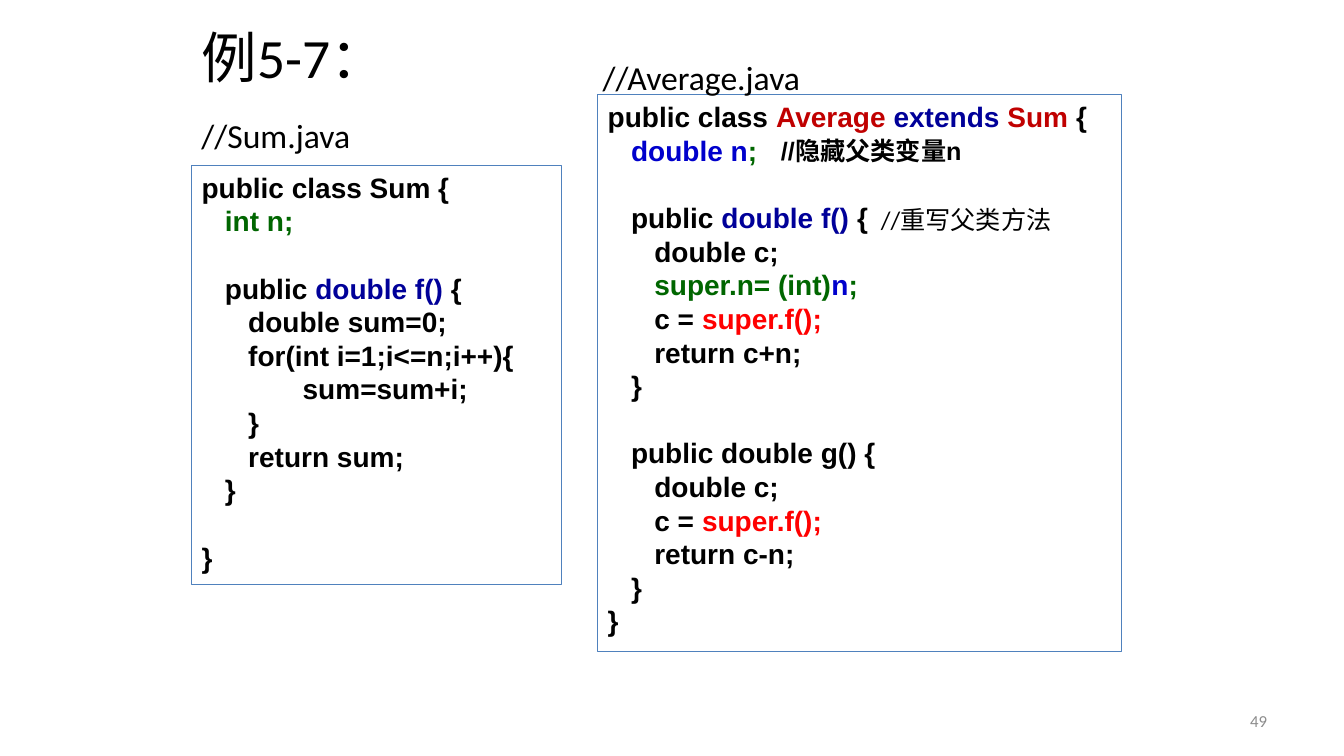
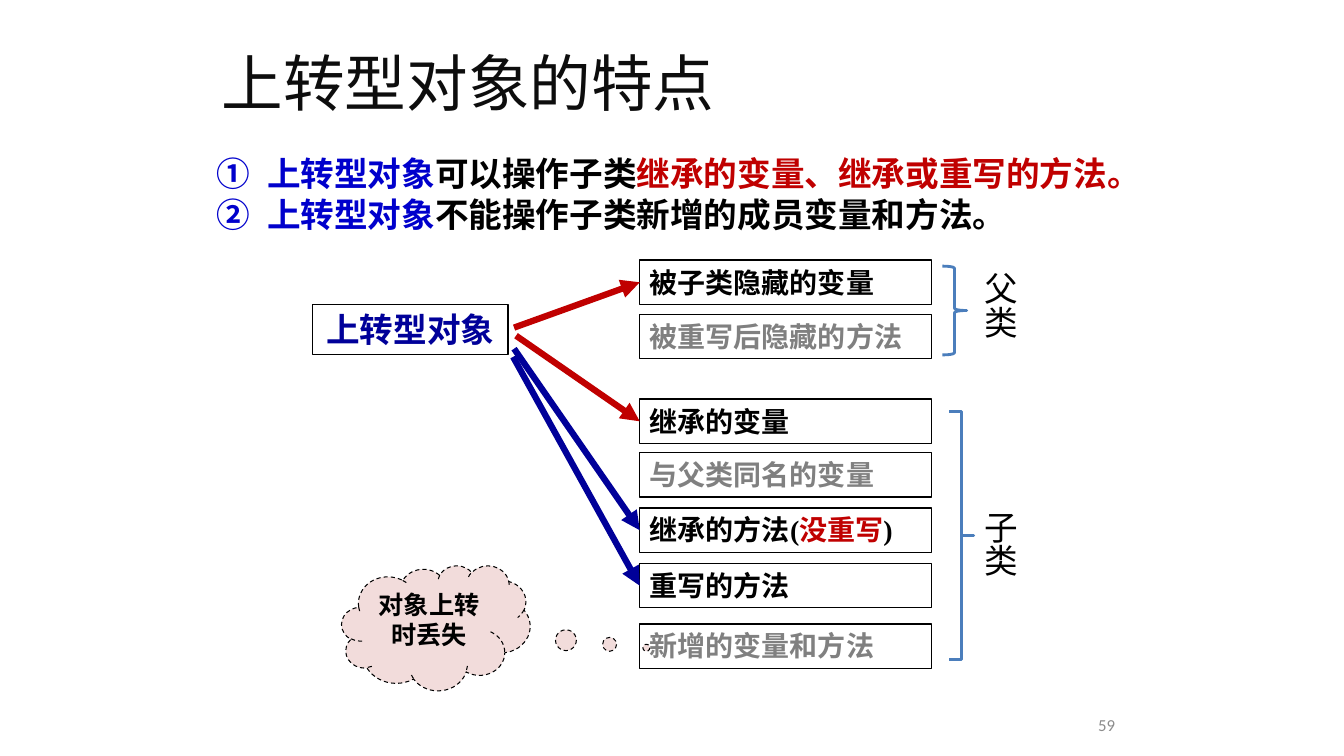
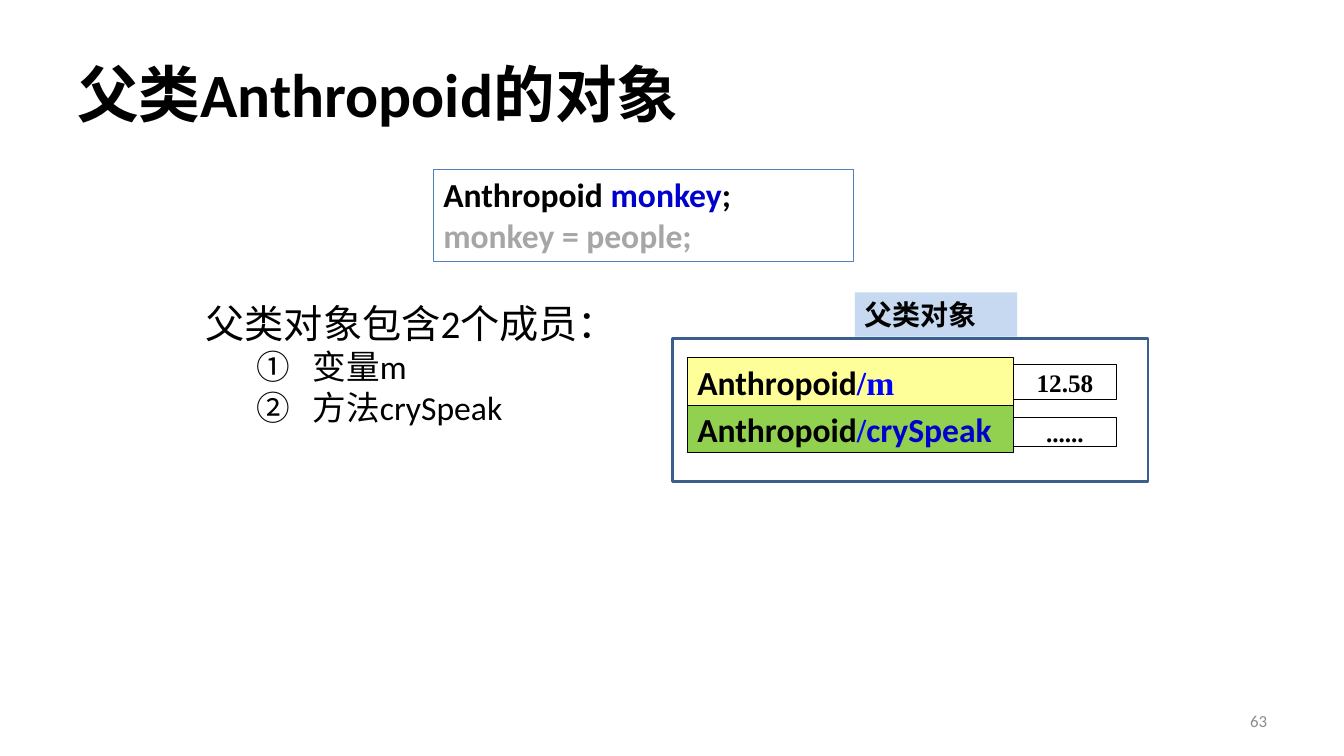
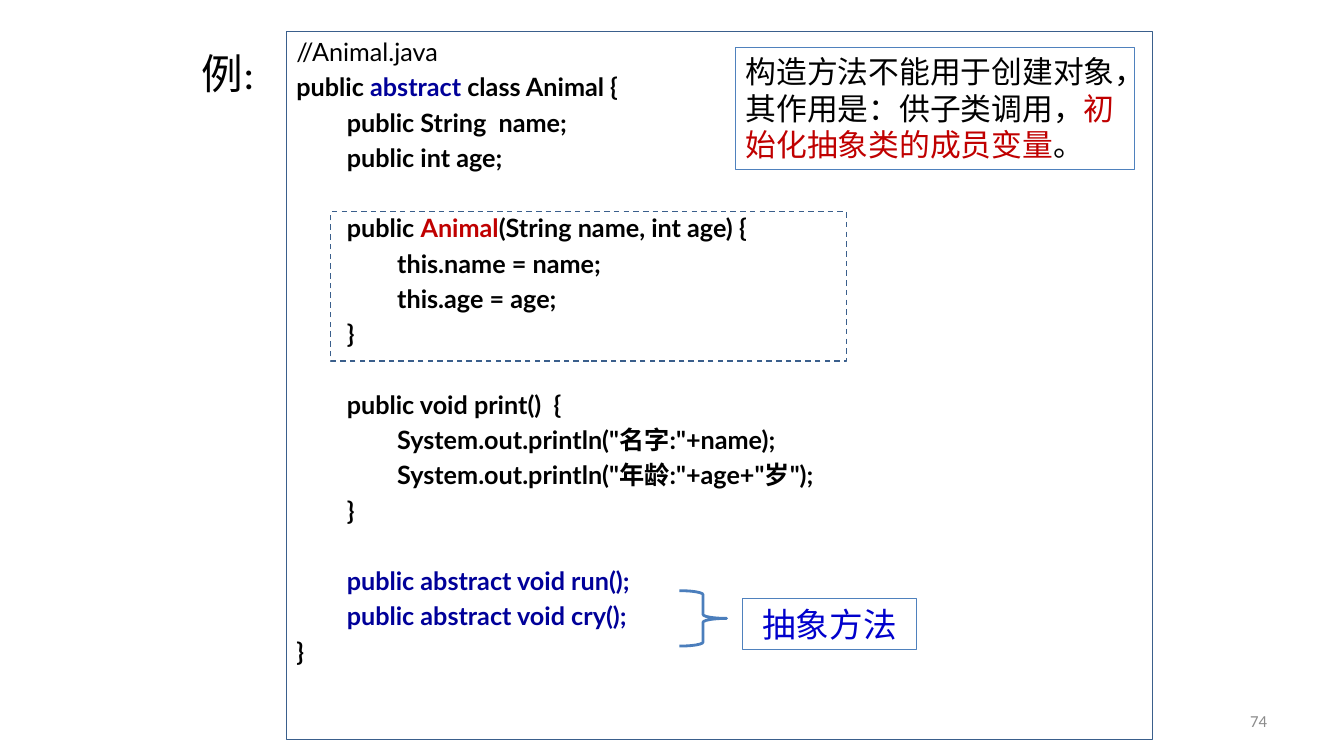
from dataclasses import dataclass

from lxml.etree import SubElement
from pptx import Presentation
from pptx.dml.color import RGBColor
from pptx.enum.dml import MSO_LINE
from pptx.enum.shapes import MSO_CONNECTOR, MSO_SHAPE as Preset
from pptx.enum.text import MSO_ANCHOR as Anchor, MSO_AUTO_SIZE, PP_ALIGN as Align
from pptx.oxml.ns import qn
from pptx.util import Pt


# ---- Theme ----
@dataclass(frozen=True)
class Theme:
    black: RGBColor = RGBColor(0, 0, 0)
    ink: RGBColor = RGBColor.from_string("0D0D0D")
    gray: RGBColor = RGBColor.from_string("808080")
    pale: RGBColor = RGBColor.from_string("A6A6A6")
    footer: RGBColor = RGBColor.from_string("8C8C8C")
    navy: RGBColor = RGBColor.from_string("000099")
    blue: RGBColor = RGBColor.from_string("0000CC")
    bright: RGBColor = RGBColor.from_string("0000FF")
    green: RGBColor = RGBColor.from_string("006600")
    crimson: RGBColor = RGBColor.from_string("C00000")
    red: RGBColor = RGBColor.from_string("FF0000")
    frame: RGBColor = RGBColor.from_string("4F81BD")
    steel: RGBColor = RGBColor.from_string("3A5F8C")
    brace: RGBColor = RGBColor.from_string("4B7EBC")
    pink: RGBColor = RGBColor.from_string("F2DCDB")
    yellow: RGBColor = RGBColor.from_string("FFFF99")
    lime: RGBColor = RGBColor.from_string("92D050")
    sky: RGBColor = RGBColor.from_string("C6D9F1")

    sans: str = "Calibri"
    code: str = "Arial"
    lato: str = "Lato"
    serif: str = "Times New Roman"
    cjk: str = "Noto Sans CJK SC"

    title: float = 44
    heading: float = 28
    large: float = 24
    note: float = 22
    medium: float = 20
    small: float = 18
    tiny: float = 12
    leading: float = 1.2


T = Theme()
HANGS = ((27, -27), (58.5, -22.5), (90, -18))  # left margin and indent by level


class Line:
    """One paragraph: runs are text, (text, colour) or (text, colour, font)."""

    def __init__(self, *runs, level=0, hang=None, numbered=False, **style):
        self.runs = [run if isinstance(run, tuple) else (run,) for run in runs]
        self.level, self.hang = level, hang
        self.numbered, self.style = numbered, style


def apply(target, formats):
    for name, value in formats.items():
        setattr(target, name, value)


class Deck:
    def __init__(self):
        self.show = Presentation()
        apply(self.show, dict(slide_width=Pt(960), slide_height=Pt(540)))
        self.slide = None

    # ---- Shared parts ----
    def start(self, title, at, number, number_at=(688.3, 500.4, 224, 28.8),
              size=T.title, **style):
        self.slide = self.show.slides.add_slide(self.show.slide_layouts[1])
        heading = self.place(self.slide.shapes.title, at)
        self.set_text(heading, title, size=size, anchor=Anchor.MIDDLE, leading=None, **style)
        self.text(number, number_at, size=T.tiny, color=T.footer,
                  align=Align.RIGHT, anchor=Anchor.MIDDLE)

    def place(self, shape, at):
        apply(shape, dict(zip(("left", "top", "width", "height"), map(Pt, at))))
        return shape

    def paint(self, shape, fill=None, line=None, weight=0.75, dash=None):
        if fill is None:
            shape.fill.background()
        else:
            shape.fill.solid()
            shape.fill.fore_color.rgb = fill
        if line is None:
            shape.line.fill.background()
        else:
            shape.line.color.rgb = line
            apply(shape.line, dict(width=Pt(weight), dash_style=dash))

    # ---- Text ----
    def set_text(self, shape, lines, size, font=T.sans, color=T.black, bold=False,
                 align=Align.LEFT, anchor=Anchor.TOP, wrap=True, before=0, leading=T.leading):
        """Fill a shape; an empty line of code becomes space above the next line."""
        frame = shape.text_frame
        apply(frame, dict(auto_size=MSO_AUTO_SIZE.NONE, word_wrap=wrap, vertical_anchor=anchor))
        lines = [lines] if isinstance(lines, (str, Line)) else lines
        paragraph, gap = None, 0
        for line in lines:
            if line == "":
                gap += size * leading + before
                continue
            line = Line(line) if isinstance(line, str) else line
            first = paragraph is None
            paragraph = frame.paragraphs[0] if first else frame.add_paragraph()
            style = dict(size=size, bold=bold) | line.style
            self.mark(paragraph, line)
            apply(paragraph, dict(
                level=line.level, alignment=align,
                space_before=Pt(0 if first else before + gap), space_after=Pt(0),
                line_spacing=Pt(style["size"] * leading) if leading else None))
            gap = 0
            for words, *look in line.runs:
                run_color, run_font = look + [color, font][len(look):]
                run = paragraph.add_run()
                run.text = words
                apply(run.font, dict(name=run_font, size=Pt(style["size"]), bold=style["bold"]))
                run.font.color.rgb = run_color

    def mark(self, paragraph, line):
        """Set the indents and the number mark of a paragraph."""
        properties = paragraph._p.get_or_add_pPr()
        for name, value in zip(("marL", "indent"), line.hang or (0, 0)):
            properties.set(name, str(Pt(value)))
        if line.numbered:
            SubElement(properties, qn("a:buAutoNum"), type="circleNumDbPlain")
        else:
            SubElement(properties, qn("a:buNone"))

    def text(self, lines, at, vertical=False, **style):
        label = self.slide.shapes.add_textbox(*map(Pt, at))
        self.set_text(label, lines, **style)
        if vertical:
            label.element.txBody.bodyPr.set("vert", "eaVert")

    def body(self, lines, at, line=None, **style):
        content = self.place(self.slide.placeholders[1], at)
        self.paint(content, line=line)
        self.set_text(content, lines, **style)

    # ---- Shapes ----
    def shape(self, at, lines=None, preset=Preset.RECTANGLE, adjust=(), fill=None,
              line=None, weight=0.75, dash=None, **style):
        figure = self.slide.shapes.add_shape(preset, *map(Pt, at))
        figure.shadow.inherit = False
        for index, value in enumerate(adjust):
            figure.adjustments[index] = value
        self.paint(figure, fill, line, weight, dash)
        if lines:
            self.set_text(figure, lines, **style)
        return figure

    def brace(self, at, adjust=()):
        self.shape(at, preset=Preset.RIGHT_BRACE, adjust=adjust, line=T.brace, weight=2)

    def arrow(self, start, target, color):
        """Draw an arrow from a point to the left side of a box."""
        link = self.slide.shapes.add_connector(
            MSO_CONNECTOR.STRAIGHT, *map(Pt, start), target.left, target.top)
        link.end_connect(target, 1)
        link.line.color.rgb = color
        link.line.width = Pt(4.5)
        properties = link.element.spPr
        SubElement(properties.find(qn("a:ln")), qn("a:tailEnd"), type="triangle")
        SubElement(properties, qn("a:effectLst"))


# ---- Example 5-7: two classes side by side ----
def hiding_example(deck):
    deck.start("例5-7：", (136.8, 16.6, 332, 46.8), "49", size=39.6)
    code = dict(size=T.medium, font=T.code, bold=True, line=T.frame)
    deck.body([
        "public class Sum {",
        Line("   ", ("int n;", T.green)),
        "",
        Line("   public ", ("double f() ", T.navy), "{"),
        "      double sum=0;",
        "      for(int i=1;i<=n;i++){",
        "             sum=sum+i;",
        "      }",
        "      return sum;",
        "   }",
        "",
        "}",
    ], (136.8, 118, 264.2, 299.5), **code)
    call_super = Line("      c = ", ("super.f();", T.red))
    deck.shape((427, 67.7, 374.4, 397.4), [
        Line("public class ", ("Average ", T.crimson), ("extends", T.navy),
             (" Sum ", T.crimson), "{"),
        Line("   ", ("double n", T.blue), (";", T.green)),
        "",
        Line("   public ", ("double f() ", T.navy), "{"),
        "      double c;",
        Line(("      super.n= (int)", T.green), ("n", T.blue), (";", T.green)),
        call_super,
        "      return c+n;",
        "   }",
        "",
        "   public double g() {",
        "      double c;",
        call_super,
        "      return c-n;",
        "   }",
        "}",
    ], **code)
    deck.text("//Sum.java", (136.8, 78.5, 140.4, 36), size=T.large)
    deck.text("//Average.java", (423.4, 37.4, 185.8, 36), size=T.large)
    deck.text("//重写父类方法", (622.1, 142.6, 136.1, 28.8), size=T.small)
    deck.text("//隐藏父类变量n", (550.8, 92.9, 144, 28.8), size=T.small, font=T.code, bold=True)


# ---- Upcast object: what it can reach ----
def upcast_features(deck):
    deck.start("上转型对象的特点", (151.2, 19.4, 648, 78.5), "59",
               number_at=(635.8, 503.3, 167.8, 28.8), font=T.cjk, color=T.ink)
    upcast = ("上转型对象", T.blue)
    numbered = dict(hang=(36, -36), numbered=True)
    deck.body([
        Line(upcast, "可以操作子类", ("继承的变量、继承或重写的方法。", T.crimson), **numbered),
        Line(upcast, "不能操作子类新增的成员变量和方法。", **numbered),
    ], (147.6, 105.8, 663.8, 381.6), size=T.large, font=T.cjk, bold=True)

    label = dict(line=T.black, weight=1, font=T.serif, bold=True)
    deck.shape((223.2, 217.4, 139.7, 36), "上转型对象", size=T.large, color=T.navy,
               align=Align.CENTER, **label)
    # Members: top, text, colour, then start and colour of the arrow if reachable
    members = [
        (185.8, "被子类隐藏的变量", T.black, (367.2, 234), T.crimson),
        (224.6, "被重写后隐藏的方法", T.gray, None, None),
        (285.1, "继承的变量", T.black, (368.6, 239.8), T.crimson),
        (323.3, "与父类同名的变量", T.gray, None, None),
        (362.9, Line("继承的方法(", ("没重写", T.crimson), ")"), T.black, (367.2, 249.1), T.navy),
        (402.5, "重写的方法", T.black, (366.5, 254.9), T.navy),
        (445.7, "新增的变量和方法", T.gray, None, None),
    ]
    for top, words, color, start, arrow_color in members:
        member = deck.shape((457, top, 208.5, 31.7), words, size=T.medium, color=color, **label)
        if start:
            deck.arrow(start, member, arrow_color)

    deck.shape((244.1, 403.9, 134.6, 89.3), "对象上转时丢失", Preset.CLOUD_CALLOUT,
               adjust=(1.117, 0.159), fill=T.pink, line=T.black, dash=MSO_LINE.DASH,
               size=T.small, bold=True, align=Align.CENTER)
    deck.brace((673.2, 190.1, 17.3, 63.4))
    deck.brace((678.2, 293.8, 17.3, 177.1), adjust=(0, 0.5))
    for owner, top, height in (("父类", 187.2, 70.6), ("子类", 357.8, 75.6)):
        deck.text(owner, (689, top, 43.2, height), vertical=True, size=T.large)


# ---- Object of the parent class ----
def parent_object(deck):
    deck.start("父类Anthropoid的对象", (48, 21.6, 864, 90), "63", bold=True)
    numbered = dict(level=1, hang=(76.5, -40.5), numbered=True, size=T.large)
    deck.body([
        "父类对象包含2个成员：",
        Line("变量m", **numbered),
        Line("方法crySpeak", **numbered),
    ], (139.7, 210.2, 306, 99.4), size=T.heading)

    cell = dict(line=T.black, bold=True, anchor=Anchor.MIDDLE, wrap=False)
    slash = ("/", T.bright, T.serif)
    left, width, height = 491, 233, 34
    members = [
        (Line("Anthropoid", ("/m", T.bright, T.serif)), T.yellow, "12.58", 260.6, 24.5),
        (Line("Anthropoid", slash, ("crySpeak", T.blue)), T.lime, "......", 298.1, 20.9),
    ]
    for row, (name, fill, value, top, depth) in enumerate(members):
        deck.shape((left + width, top, 73.4, depth), value, size=T.small, font=T.serif,
                   align=Align.CENTER, **cell)
        deck.shape((left, 255.6 + row * height, width, height), name, fill=fill,
                   size=T.large, **cell)
    deck.shape((480.2, 241.9, 339.8, 102.2), line=T.steel, weight=2)
    deck.shape((309.6, 121, 300.2, 65.5), [
        Line("Anthropoid ", ("monkey", T.blue), ";"),
        Line(("monkey = people;", T.pale)),
    ], line=T.frame, size=T.large, bold=True)
    deck.shape((610.6, 208.8, 115.9, 31.7), "父类对象", fill=T.sky, size=T.medium, bold=True)


# ---- Example: abstract class ----
def abstract_class(deck):
    deck.start("例:", (136.8, 33.8, 84.2, 36), "74", size=29.7)

    def code(level, *runs, **style):
        return Line(*runs, level=level, hang=HANGS[level], **style)

    deck.body([
        code(0, "//Animal.java", bold=False),
        code(0, "public ", ("abstract", T.navy), " class Animal {"),
        code(1, "public String  name;"),
        code(1, "public int age;"),
        "",
        code(1, "public ", ("Animal", T.crimson), "(String name, int age) {"),
        code(2, "this.name = name;"),
        code(2, "this.age = age;"),
        code(1, "}"),
        "",
        code(1, "public void print()  {"),
        code(2, 'System.out.println("名字:"+name);'),
        code(2, 'System.out.println("年龄:"+age+"岁");'),
        code(1, "}"),
        "",
        code(1, ("public abstract void run();", T.navy)),
        code(1, ("public abstract void cry();", T.navy)),
        code(0, "}"),
    ], (204.5, 22.3, 618.5, 506.2), line=T.steel, size=T.small, font=T.lato,
        bold=True, before=3.6)
    deck.brace((485.3, 421.9, 33.8, 39.6))
    deck.shape((525.6, 33.8, 285.1, 87.1), Line(
        "构造方法不能用于创建对象，其作用是：", ("供子类调用，", T.black, T.cjk),
        ("初始化抽象类的成员变量", T.crimson, T.cjk), "。"), line=T.frame, size=T.note)
    deck.shape((236.2, 151.2, 368.6, 106.6), line=T.steel, weight=1, dash=MSO_LINE.DASH)
    deck.shape((530.6, 427.7, 123.8, 36), "抽象方法", line=T.frame, size=T.large,
               color=T.blue, align=Align.CENTER)


def main():
    deck = Deck()
    for build in (hiding_example, upcast_features, parent_object, abstract_class):
        build(deck)
    deck.show.save("out.pptx")


if __name__ == "__main__":
    main()
